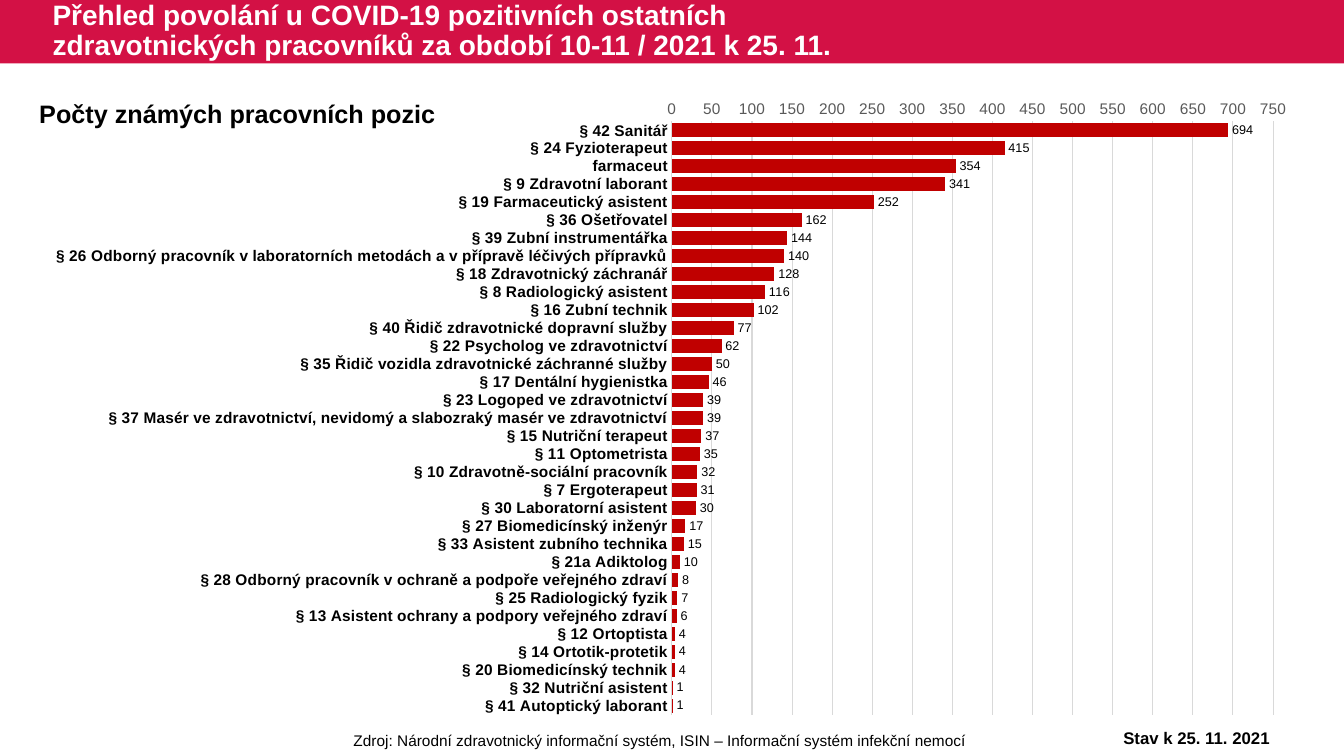
"""Build a slide charting the occupations of COVID-19 positive health workers."""
from typing import NamedTuple

from lxml import etree
from pptx import Presentation
from pptx import util as u
from pptx.chart import data as chart_data
from pptx.dml.color import RGBColor
from pptx.enum import chart as chart_enum, shapes, text

CRIMSON = RGBColor(0xD3, 0x11, 0x45)
BAR_RED = RGBColor(0xC0, 0x00, 0x00)
BLACK = RGBColor(0x00, 0x00, 0x00)
WHITE = RGBColor(0xFF, 0xFF, 0xFF)
AXIS_GREY = RGBColor(0x59, 0x59, 0x59)
GRID_GREY = RGBColor(0xD9, 0xD9, 0xD9)
FONT_NAME = "Arial"
CHART_NS = "http://schemas.openxmlformats.org/drawingml/2006/chart"


class Box(NamedTuple):
    left: float
    top: float
    width: float
    height: float

    def lengths(self) -> tuple:
        """Return the four measures as lengths."""
        return tuple(u.Cm(value) for value in self)


class Caption(NamedTuple):
    wording: str
    box: Box
    size: int
    bold: bool = True
    centred: bool = True
    wrap: bool = True


class Occupation(NamedTuple):
    name: str
    cases: int


BANNER = Box(0, 0, 33.87, 1.6)
TITLE = Caption(
    "Přehled povolání u COVID-19 pozitivních ostatních zdravotnických pracovníků "
    "za období 10-11 / 2021 k 25. 11.",
    Box(1.07, 0, 20.98, 1.6), 20, centred=False)
CHART_BOX = Box(0.1, 2.03, 32.94, 16.31)
PLOT_AREA = {"x": 0.511, "y": 0.063, "w": 0.46, "h": 0.917}

CAPTIONS = [
    Caption("Zdroj: Národní zdravotnický informační systém, ISIN – Informační systém infekční nemocí",
            Box(5.99, 18.29, 21.29, 0.73), 11, bold=False),
    Caption("Počty známých pracovních pozic", Box(0.74, 2.36, 10.57, 1.02), 18,
            centred=False, wrap=False),
    Caption("Stav k 25. 11. 2021", Box(27.36, 18.21, 5.59, 0.76), 12),
]

OCCUPATIONS = [
    Occupation("§ 42 Sanitář", 694),
    Occupation("§ 24 Fyzioterapeut", 415),
    Occupation("farmaceut", 354),
    Occupation("§ 9 Zdravotní laborant", 341),
    Occupation("§ 19 Farmaceutický asistent", 252),
    Occupation("§ 36 Ošetřovatel", 162),
    Occupation("§ 39 Zubní instrumentářka", 144),
    Occupation("§ 26 Odborný pracovník v laboratorních metodách a v přípravě léčivých přípravků", 140),
    Occupation("§ 18 Zdravotnický záchranář", 128),
    Occupation("§ 8 Radiologický asistent", 116),
    Occupation("§ 16 Zubní technik", 102),
    Occupation("§ 40 Řidič zdravotnické dopravní služby", 77),
    Occupation("§ 22 Psycholog ve zdravotnictví", 62),
    Occupation("§ 35 Řidič vozidla zdravotnické záchranné služby", 50),
    Occupation("§ 17 Dentální hygienistka", 46),
    Occupation("§ 23 Logoped ve zdravotnictví", 39),
    Occupation("§ 37 Masér ve zdravotnictví, nevidomý a slabozraký masér ve zdravotnictví", 39),
    Occupation("§ 15 Nutriční terapeut", 37),
    Occupation("§ 11 Optometrista", 35),
    Occupation("§ 10 Zdravotně-sociální pracovník", 32),
    Occupation("§ 7 Ergoterapeut", 31),
    Occupation("§ 30 Laboratorní asistent", 30),
    Occupation("§ 27 Biomedicínský inženýr", 17),
    Occupation("§ 33 Asistent zubního technika", 15),
    Occupation("§ 21a Adiktolog", 10),
    Occupation("§ 28 Odborný pracovník v ochraně a podpoře veřejného zdraví", 8),
    Occupation("§ 25 Radiologický fyzik", 7),
    Occupation("§ 13 Asistent ochrany a podpory veřejného zdraví", 6),
    Occupation("§ 12 Ortoptista", 4),
    Occupation("§ 14 Ortotik-protetik", 4),
    Occupation("§ 20 Biomedicínský technik", 4),
    Occupation("§ 32 Nutriční asistent", 1),
    Occupation("§ 41 Autoptický laborant", 1),
]


def style_font(font, size: int, colour: RGBColor, bold: bool = False) -> None:
    """Set the typeface, size, colour and weight."""
    font.name = FONT_NAME
    font.size = u.Pt(size)
    font.bold = bold
    font.color.rgb = colour


def style_line(line) -> None:
    """Make a chart line thin and light grey."""
    line.color.rgb = GRID_GREY
    line.width = u.Pt(0.75)


def write_caption(shape, caption: Caption, colour: RGBColor):
    """Write a caption into a shape and return its paragraph."""
    frame = shape.text_frame
    frame.word_wrap = caption.wrap
    paragraph = frame.paragraphs[0]
    paragraph.alignment = text.PP_ALIGN.CENTER if caption.centred else text.PP_ALIGN.LEFT
    run = paragraph.add_run()
    run.text = caption.wording
    style_font(run.font, caption.size, colour, caption.bold)
    return paragraph


def draw_header(slide) -> None:
    """Draw the banner with the title on top."""
    title = slide.shapes.title
    title.left, title.top, title.width, title.height = TITLE.box.lengths()
    write_caption(title, TITLE, WHITE).line_spacing = 0.9
    title.text_frame.vertical_anchor = text.MSO_ANCHOR.MIDDLE
    title.text_frame.auto_size = text.MSO_AUTO_SIZE.NONE
    banner = slide.shapes.add_shape(shapes.MSO_SHAPE.RECTANGLE, *BANNER.lengths())
    banner.shadow.inherit = False
    banner.fill.solid()
    banner.fill.fore_color.rgb = CRIMSON
    banner.line.fill.background()
    title.element.addprevious(banner.element)


def place_plot(chart) -> None:
    """Fix the inner plot area as fractions of the chart."""
    plot_area = chart.plots[0]._element.getparent()
    for old_layout in plot_area.findall(f"{{{CHART_NS}}}layout"):
        plot_area.remove(old_layout)
    layout = etree.Element(f"{{{CHART_NS}}}layout")
    manual = etree.SubElement(layout, f"{{{CHART_NS}}}manualLayout")
    settings = {"layoutTarget": "inner", "xMode": "edge", "yMode": "edge", **PLOT_AREA}
    for tag, value in settings.items():
        etree.SubElement(manual, f"{{{CHART_NS}}}{tag}", val=str(value))
    plot_area.insert(0, layout)


def draw_chart(slide) -> None:
    """Draw the bar chart of cases by occupation."""
    figures = chart_data.CategoryChartData()
    figures.categories = [occupation.name for occupation in OCCUPATIONS]
    figures.add_series("Počet", [occupation.cases for occupation in OCCUPATIONS])
    chart = slide.shapes.add_chart(
        chart_enum.XL_CHART_TYPE.BAR_CLUSTERED, *CHART_BOX.lengths(), figures).chart
    chart.has_legend = False
    chart.has_title = False
    style_font(chart.font, 10, BLACK)
    place_plot(chart)

    plot = chart.plots[0]
    plot.vary_by_categories = False
    plot.gap_width = 30
    plot.overlap = 100
    bars = plot.series[0]
    bars.format.fill.solid()
    bars.format.fill.fore_color.rgb = BAR_RED
    labels = bars.data_labels
    labels.show_value = True
    labels.position = chart_enum.XL_LABEL_POSITION.OUTSIDE_END
    style_font(labels.font, 9, BLACK)

    names, scale = chart.category_axis, chart.value_axis
    for axis in (names, scale):
        axis.major_tick_mark = axis.minor_tick_mark = chart_enum.XL_TICK_MARK.NONE
    names.reverse_order = True
    style_font(names.tick_labels.font, 11, BLACK, bold=True)
    style_line(names.format.line)
    scale.minimum_scale, scale.maximum_scale, scale.major_unit = 0, 750, 50
    style_font(scale.tick_labels.font, 11, AXIS_GREY)
    scale.format.line.fill.background()
    style_line(scale.major_gridlines.format.line)


def main() -> None:
    """Build and save the presentation."""
    presentation = Presentation()
    presentation.slide_width, presentation.slide_height = u.Cm(33.87), u.Cm(19.05)
    slide = presentation.slides.add_slide(presentation.slide_layouts[5])
    draw_header(slide)
    draw_chart(slide)
    for caption in CAPTIONS:
        write_caption(slide.shapes.add_textbox(*caption.box.lengths()), caption, BLACK)
    presentation.save("out.pptx")


if __name__ == "__main__":
    main()
